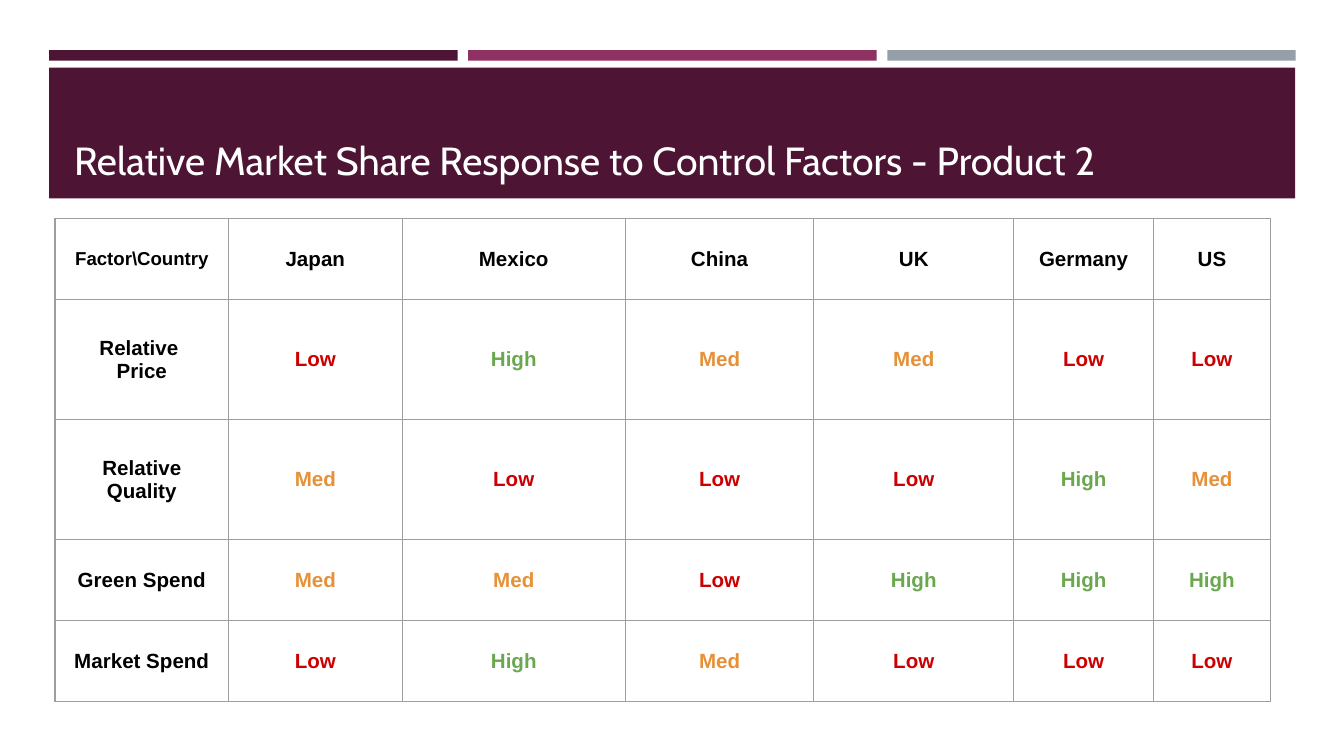
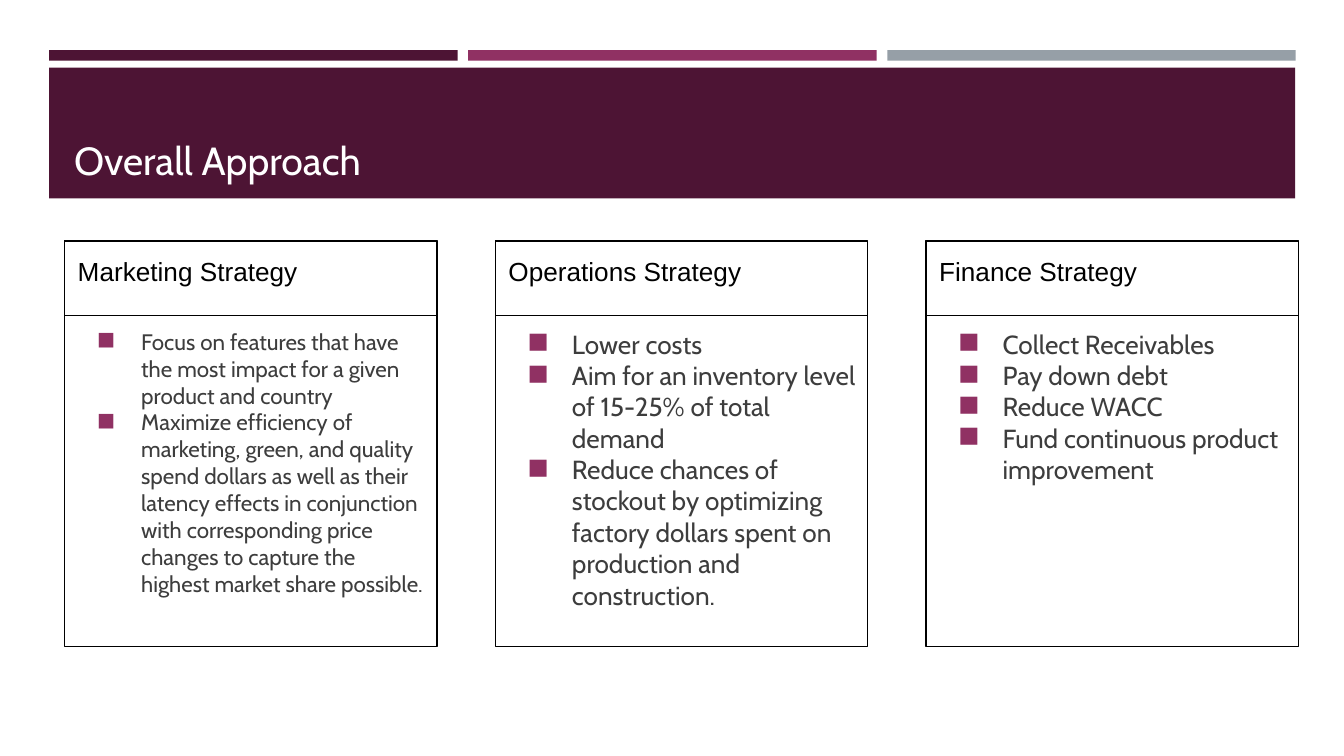
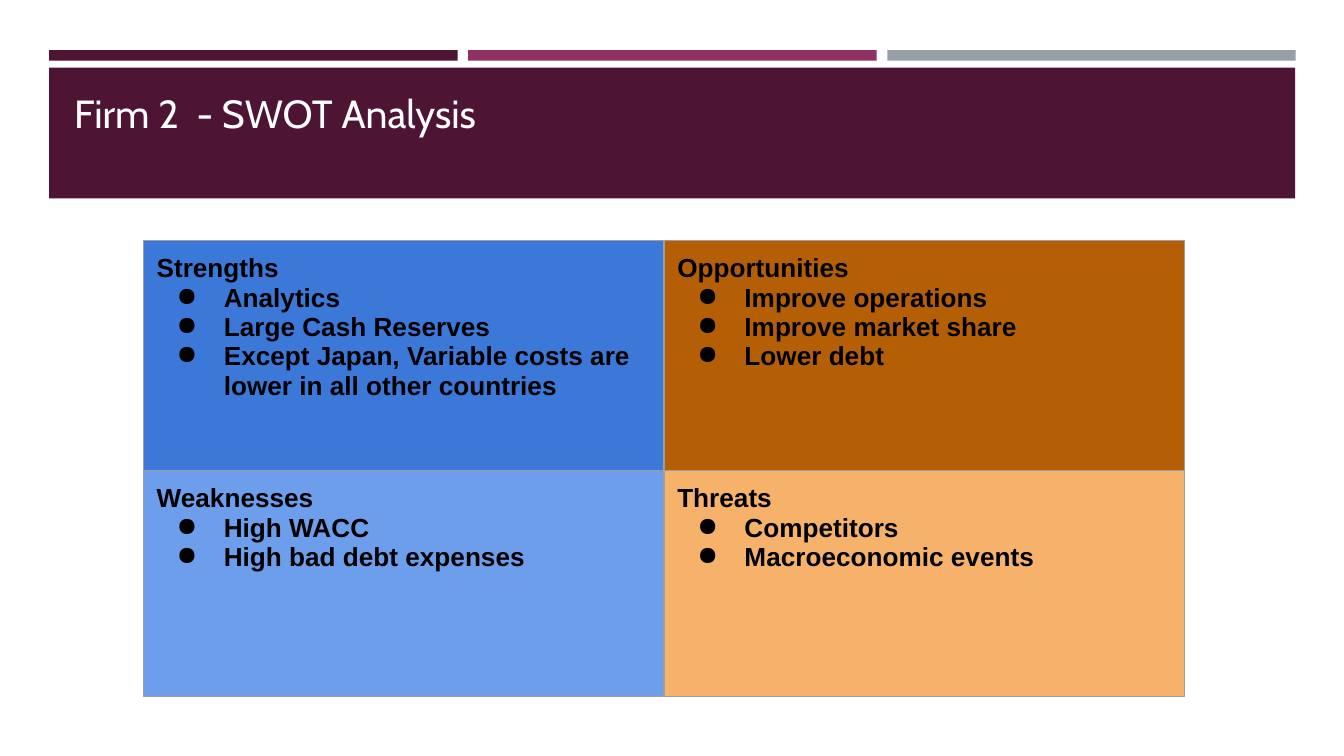
"""Build three strategy slides: a factor table, strategy panels and a SWOT grid."""
from dataclasses import dataclass, replace

from lxml.etree import SubElement as Sub
from pptx import Presentation
from pptx.dml.color import RGBColor as Rgb
from pptx.enum.shapes import MSO_SHAPE as Form
from pptx.enum.text import MSO_ANCHOR as Anchor, MSO_AUTO_SIZE as Fit, PP_ALIGN as Align
from pptx.oxml.ns import qn
from pptx.util import Cm, Pt

PLUM, BERRY, STEEL = "4D1434", "903163", "969FA7"
WHITE, BLACK, INK, GRID = "FFFFFF", "000000", "3D3D3D", "9E9E9E"
LEVELS = {"Low": "CC0000", "Med": "E69138", "High": "6AA84F"}
PAD, SLIM = (0.25, 0.25, 0.25, 0.25), (0.18, 0.1, 0.18, 0.1)


@dataclass(frozen=True)
class Box:
    """A place on the slide, in centimetres."""
    left: float
    top: float
    width: float
    height: float

    def spots(self) -> tuple:
        """Give the place as lengths."""
        return Cm(self.left), Cm(self.top), Cm(self.width), Cm(self.height)


@dataclass(frozen=True)
class Face:
    """The look of a paragraph's text."""
    name: str
    size: float
    color: str
    bold: bool = False


@dataclass(frozen=True)
class Bullet:
    """A bullet sign with its colour and hanging indent in centimetres."""
    sign: str
    color: str
    hang: float


@dataclass(frozen=True)
class Panel:
    """A headed panel with bullet points."""
    head: str
    size: float
    points: tuple


@dataclass(frozen=True)
class Part:
    """One quarter of the SWOT grid."""
    head: str
    fill: str
    points: tuple


TITLE = Face("Cabin", 21, WHITE)
HEAD = Face("Arial", 14, BLACK)
STRONG = replace(HEAD, bold=True)
LABEL = replace(STRONG, size=11)
SQUARE, DOT = Bullet("◼", BERRY, 0.84), Bullet("●", BLACK, 0.89)

LANDS = ("Factor\\Country", "Japan", "Mexico", "China", "UK", "Germany", "US")
FACTORS = (
    ("Relative \nPrice", "Low", "High", "Med", "Med", "Low", "Low"),
    ("Relative Quality", "Med", "Low", "Low", "Low", "High", "Med"),
    ("Green Spend", "Med", "Med", "Low", "High", "High", "High"),
    ("Market Spend", "Low", "High", "Med", "Low", "Low", "Low"),
)
PANELS = (
    Panel("Marketing Strategy", 12, (
        "Focus on features that have the most impact for a given product and country",
        "Maximize efficiency of marketing, green, and quality spend dollars as well as "
        "their latency effects in conjunction with corresponding price changes to "
        "capture the highest market share possible.")),
    Panel("Operations Strategy", 14, (
        "Lower costs",
        "Aim for an inventory level of 15-25% of total demand",
        "Reduce chances of stockout by optimizing factory dollars spent on "
        "production and construction.")),
    Panel("Finance Strategy", 14, (
        "Collect Receivables", "Pay down debt", "Reduce WACC",
        "Fund continuous product improvement")),
)
SWOT = (
    (Part("Strengths", "3C78D8", (
        "Analytics", "Large Cash Reserves",
        "Except Japan, Variable costs are lower in all other countries")),
     Part("Opportunities", "B45F06", (
         "Improve operations", "Improve market share", "Lower debt"))),
    (Part("Weaknesses", "6D9EEB", ("High WACC", "High bad debt expenses")),
     Part("Threats", "F6B26B", ("Competitors", "Macroeconomic events"))),
)


def paint(fill, color: str | None) -> None:
    """Fill with a hex colour, or clear the fill."""
    if color is None:
        fill.background()
    else:
        fill.solid()
        fill.fore_color.rgb = Rgb.from_string(color)


def style(para, face: Face, align=Align.LEFT) -> None:
    """Set the font and alignment of a paragraph."""
    para.alignment = align
    font = para.font
    font.name, font.size, font.bold = face.name, Pt(face.size), face.bold
    paint(font.fill, face.color)


def mark(para, bullet: Bullet) -> None:
    """Give a paragraph a hanging bullet."""
    props = para._p.get_or_add_pPr()
    props.set("marL", str(Cm(1.27)))
    props.set("indent", str(-Cm(bullet.hang)))
    Sub(Sub(props, qn("a:buClr")), qn("a:srgbClr"), val=bullet.color)
    Sub(props, qn("a:buChar"), char=bullet.sign)


def inset(area, pad: tuple) -> None:
    """Set the inner margins of a frame or cell."""
    (area.margin_left, area.margin_top,
     area.margin_right, area.margin_bottom) = map(Cm, pad)


def write(frame, lines: tuple, face: Face, bullet: Bullet | None = None,
          plain: int = 0, align=Align.LEFT) -> None:
    """Write paragraphs, with bullets after the first plain ones."""
    frame.word_wrap = True
    frame.text = "\n".join(lines)
    for spot, para in enumerate(frame.paragraphs):
        if bullet and spot >= plain:
            mark(para, bullet)
        style(para, face, align)


def block(slide, box: Box, fill: str | None = None, line: str | None = None):
    """Draw a flat rectangle."""
    shape = slide.shapes.add_shape(Form.RECTANGLE, *box.spots())
    shape.shadow.inherit = False
    paint(shape.fill, fill)
    paint(shape.line.fill, line)
    if line:
        shape.line.width = Pt(0.75)
    shape.text_frame.vertical_anchor = Anchor.TOP
    return shape


def brand(deck, layout) -> None:
    """Put the bars and the title band on the layout."""
    for holder in list(layout.placeholders)[1:]:
        holder.element.getparent().remove(holder.element)
    slide = deck.slides[0]
    bars = [block(slide, Box(0.93 + 7.92 * col, 0.95, 7.72, 0.2), color)
            for col, color in enumerate((PLUM, BERRY, STEEL))]
    band = block(slide, Box(0.93, 1.28, 23.55, 2.47), PLUM)
    for spot, shape in enumerate((*bars, band), 2):
        layout.shapes.element.insert(spot, shape.element)


def begin(deck, layout, text: str, base: float = 0.1):
    """Add a slide with its title, raised by the base margin."""
    slide = deck.slides.add_slide(layout)
    title = slide.shapes.title
    title.left, title.top, title.width, title.height = Box(1.22, 1.47, 23, 2.1).spots()
    frame = title.text_frame
    write(frame, (text,), TITLE)
    frame.auto_size, frame.vertical_anchor = Fit.NONE, Anchor.BOTTOM
    inset(frame, (0.18, 0.1, 0.18, base))
    return slide


def grid(slide, left: float, top: float, cols: tuple, rows: tuple):
    """Add a plain table with the given column widths and row heights."""
    box = Box(left, top, sum(cols), sum(rows))
    table = slide.shapes.add_table(len(rows), len(cols), *box.spots()).table
    table.first_row = table.horz_banding = False
    for col, width in zip(table.columns, cols):
        col.width = Cm(width)
    for row, height in zip(table.rows, rows):
        row.height = Cm(height)
    return table


def dress(cell, fill: str | None = None) -> None:
    """Set the borders, margins and fill of a cell."""
    props = cell._tc.get_or_add_tcPr()
    for side in "LRTB":
        edge = Sub(props, qn(f"a:ln{side}"), w=str(Pt(0.75)))
        Sub(Sub(edge, qn("a:solidFill")), qn("a:srgbClr"), val=GRID)
    inset(cell, PAD)
    paint(cell.fill, fill)


def share(slide) -> None:
    """Draw the table of market share response."""
    table = grid(slide, 1.04, 4.13, (3.28, 3.28, 4.22, 3.56, 3.78, 2.64, 2.21),
                 (1.53, 2.27, 2.27, 1.53, 1.53))
    for row, words in enumerate((LANDS, *FACTORS)):
        for col, word in enumerate(words):
            cell = table.cell(row, col)
            dress(cell)
            cell.vertical_anchor = Anchor.MIDDLE
            face = replace(LABEL, color=LEVELS.get(word, BLACK),
                           size=10 if row == col == 0 else 11)
            write(cell.text_frame, (word,), face, align=Align.CENTER)


def plans(slide) -> None:
    """Draw the strategy panels."""
    for col, panel in enumerate(PANELS):
        left = 1.22 + 8.14 * col
        body = block(slide, Box(left, 4.55, 7.04, 7.67), line=BLACK).text_frame
        inset(body, (SLIM[0], 1.65, *SLIM[2:]))
        write(body, panel.points, Face("Cabin", panel.size, INK), SQUARE)
        head = block(slide, Box(left, 4.57, 7.04, 1.4), line=BLACK).text_frame
        inset(head, PAD)
        write(head, (panel.head,), HEAD)


def swot(slide) -> None:
    """Draw the SWOT grid."""
    table = grid(slide, 2.71, 4.55, (9.84, 9.84), (4.35, 4.27))
    for row, parts in enumerate(SWOT):
        for col, part in enumerate(parts):
            cell = table.cell(row, col)
            dress(cell, part.fill)
            write(cell.text_frame, (part.head, *part.points), STRONG, DOT, plain=1)


def main() -> None:
    """Build and save the deck."""
    deck = Presentation()
    deck.slide_width, deck.slide_height = Cm(25.4), Cm(14.29)
    layout = deck.slide_layouts[5]
    share(begin(deck, layout, "Relative Market Share Response to Control Factors - Product 2"))
    plans(begin(deck, layout, "Overall Approach"))
    swot(begin(deck, layout, "Firm 2  - SWOT Analysis", base=1))
    brand(deck, layout)
    deck.save("out.pptx")


if __name__ == "__main__":
    main()
